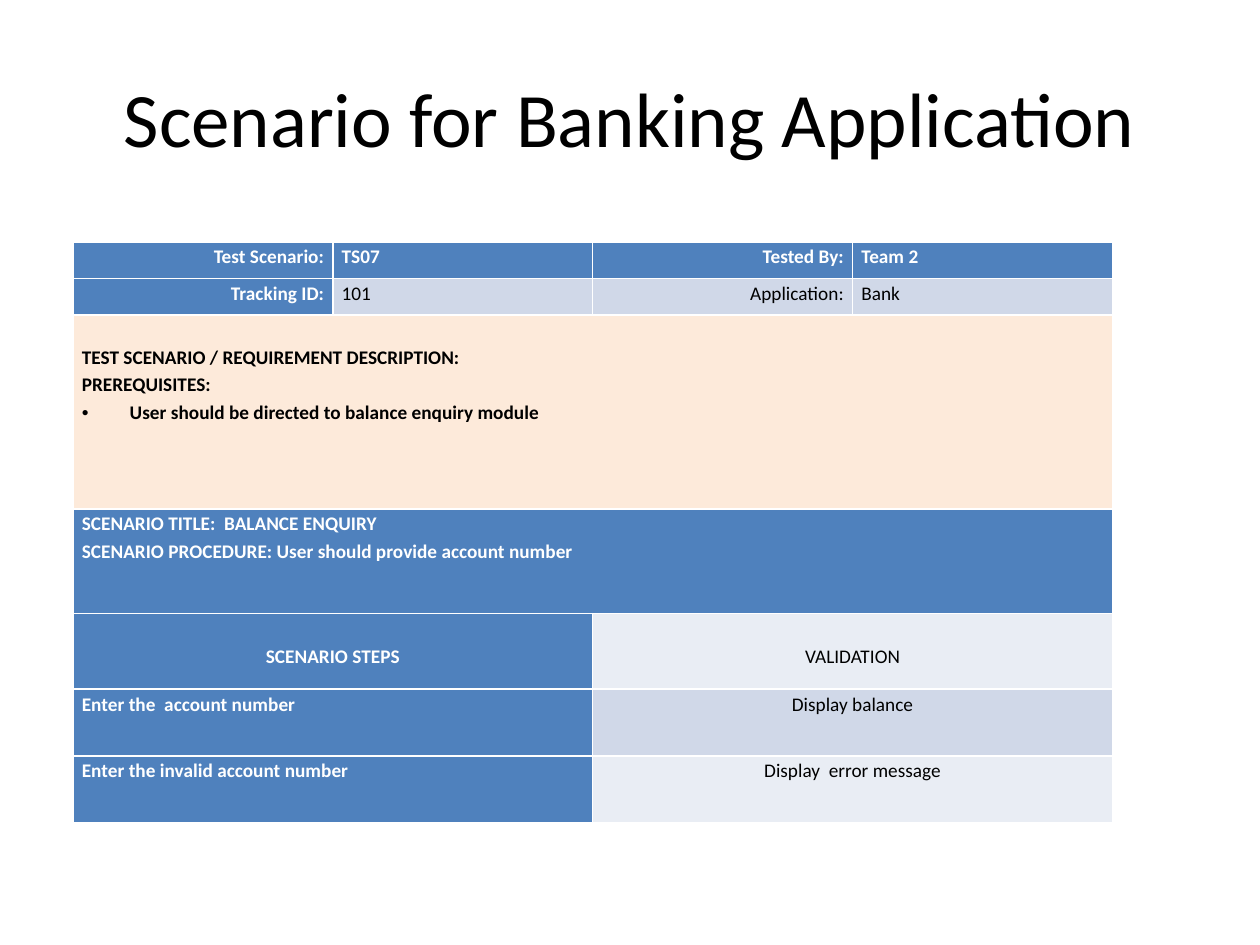
"""Build the banking test scenario slide with its seven-row table."""
from dataclasses import dataclass

from lxml.etree import SubElement
from pptx import Presentation
from pptx.dml.color import RGBColor
from pptx.enum.text import MSO_ANCHOR, PP_ALIGN
from pptx.oxml.ns import qn
from pptx.util import Inches, Pt


@dataclass(frozen=True)
class Theme:
    font: str = "Calibri"
    title_size: int = 44
    cell_size: int = 11
    line_spacing: float = 1.15
    black: str = "000000"
    white: str = "FFFFFF"
    blue: str = "4F81BD"
    band: str = "D0D8E8"
    pale: str = "E9EDF4"
    peach: str = "FDEADA"


theme = Theme()
L, C, R = PP_ALIGN.LEFT, PP_ALIGN.CENTER, PP_ALIGN.RIGHT
COLUMNS = 4
LINE = Inches(0.22)
HANG = Inches(0.38)


def style(p, size, color, bold, align):
    p.alignment = align
    for r in p.runs:
        r.font.name = theme.font
        r.font.size = Pt(size)
        r.font.bold = bold
        r.font.color.rgb = RGBColor.from_string(color)


prs = Presentation()
prs.slide_width, prs.slide_height = Inches(10), Inches(7.5)
W, H = prs.slide_width, prs.slide_height
s = prs.slides.add_slide(prs.slide_layouts[5])

title = s.shapes.title
title.left, title.top = int(W * 0.05), int(H * 0.04)
title.width, title.height = int(W * 0.9), Inches(1.25)
tf = title.text_frame
tf.text = "Scenario for Banking Application"
tf.vertical_anchor = MSO_ANCHOR.MIDDLE
style(tf.paragraphs[0], theme.title_size, theme.black, False, C)

head = (theme.blue, theme.white, True)
band = (theme.band, theme.black, False)
pale = (theme.pale, theme.black, False)
note = (theme.peach, theme.black, True)

rows = [
    (0.29, 0, [("Test Scenario:", R, head), ("TS07", L, head),
               ("Tested By:", R, head), ("Team 2", L, head)]),
    (0.29, 0, [("Tracking ID:", R, head), ("101", L, band),
               ("Application:", R, band), ("Bank", L, band)]),
    (1.54, LINE, [("TEST SCENARIO / REQUIREMENT DESCRIPTION:\nPREREQUISITES:\n"
                   "User should be directed to balance enquiry module", L, note)]),
    (0.83, 0, [("SCENARIO TITLE:  BALANCE ENQUIRY\n"
                "SCENARIO PROCEDURE: User should provide account number", L, head)]),
    (0.6, LINE, [("SCENARIO STEPS", C, head), ("VALIDATION", C, pale)]),
    (0.53, 0, [("Enter the  account number", L, head), ("Display balance", C, band)]),
    (0.53, 0, [("Enter the invalid account number", L, head),
               ("Display  error message", C, pale)]),
]

frame = s.shapes.add_table(len(rows), COLUMNS, Inches(0.58), Inches(1.92),
                           Inches(8.25), Inches(sum(row[0] for row in rows)))
table = frame.table
table.first_col = True

for i, (height, top, cells) in enumerate(rows):
    table.rows[i].height = Inches(height)
    span = COLUMNS // len(cells)
    for j, (text, align, (fill, color, bold)) in enumerate(cells):
        cell = table.cell(i, j * span)
        if span > 1:
            cell.merge(table.cell(i, (j + 1) * span - 1))
        cell.fill.solid()
        cell.fill.fore_color.rgb = RGBColor.from_string(fill)
        cell.margin_left = cell.margin_right = Inches(0.07)
        cell.margin_top, cell.margin_bottom = top, 0
        cell.text_frame.text = text
        for p in cell.text_frame.paragraphs:
            p.line_spacing = theme.line_spacing
            style(p, theme.cell_size, color, bold, align)

prerequisite = table.cell(2, 0).text_frame.paragraphs[-1]
pPr = prerequisite._p.get_or_add_pPr()
pPr.set("marL", str(HANG))
pPr.set("indent", str(-HANG))
SubElement(pPr, qn("a:buFont"), typeface="Arial")
SubElement(pPr, qn("a:buChar"), char="•")

prs.save("out.pptx")
